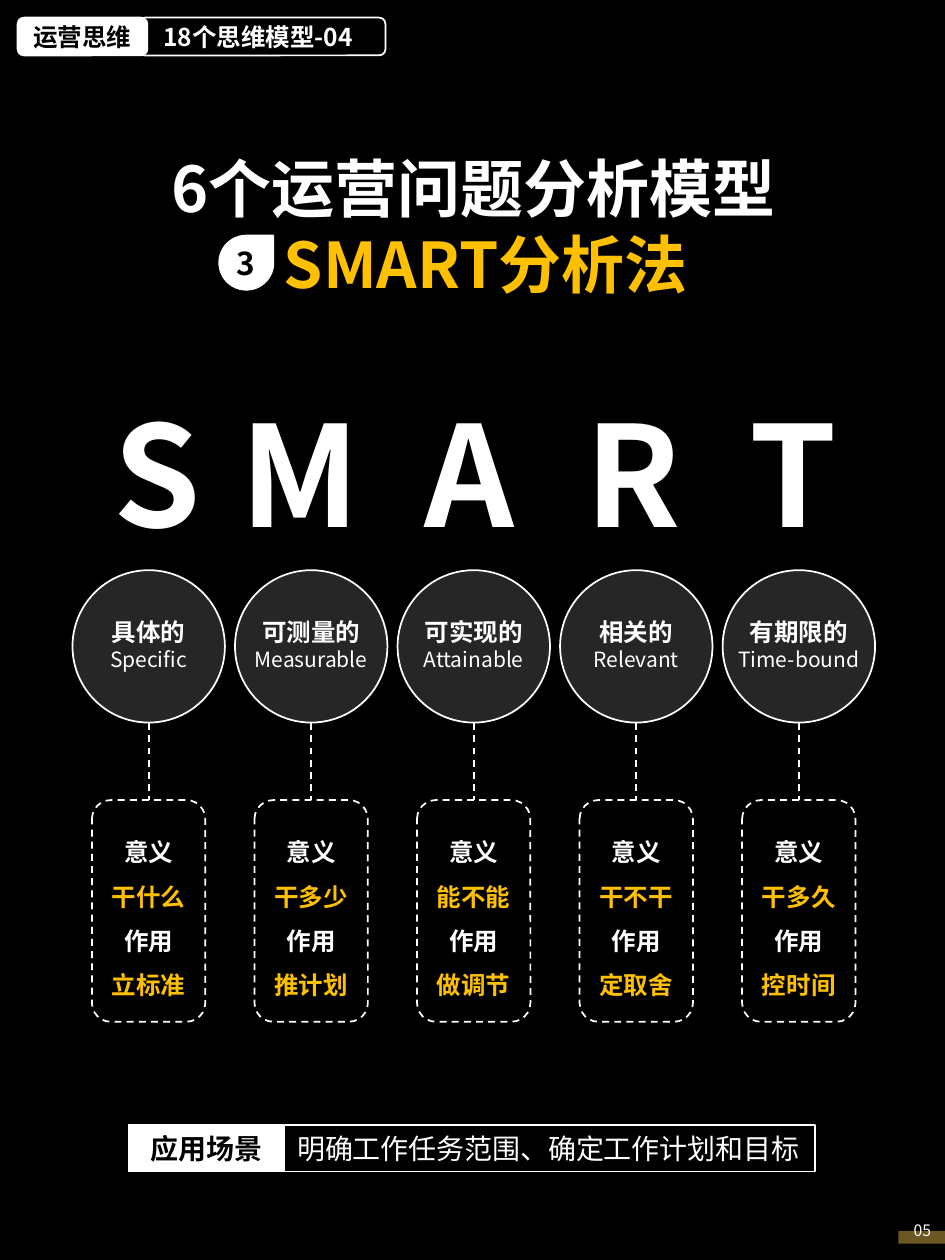
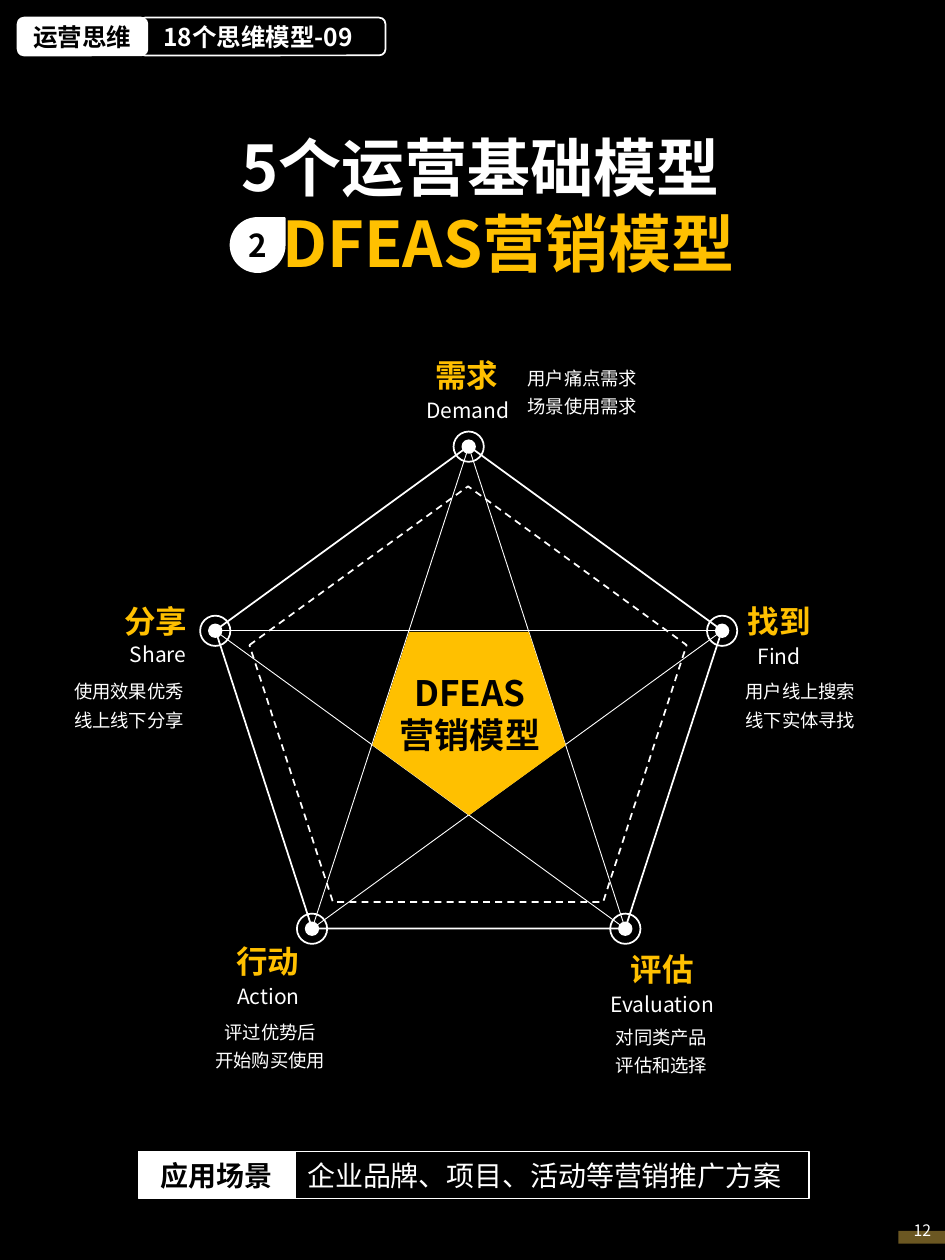
"""Build two slides on operations thinking models: SMART and DFEAS."""
import math

from lxml import etree
from pptx import Presentation
from pptx.dml.color import RGBColor
from pptx.enum import dml, shapes, text
from pptx.oxml import ns
from pptx.util import Inches, Pt

FONT = "Noto Sans CJK SC"
BLACK = RGBColor(0, 0, 0)
WHITE = RGBColor(255, 255, 255)
GOLD = RGBColor(0xFF, 0xC0, 0x00)
BROWN = RGBColor(0x6B, 0x57, 0x22)
SHAPE = shapes.MSO_SHAPE
LEFT, CENTER = text.PP_ALIGN.LEFT, text.PP_ALIGN.CENTER
MIDDLE, TOP = text.MSO_ANCHOR.MIDDLE, text.MSO_ANCHOR.TOP

SMART_FRAME = dict(
    series="18个思维模型-04", page="05",
    title=("6个运营问题分析模型", "SMART分析法"), title_box=(0.96, 1.14, 5.59, 1.31), indent=0.2,
    number="3", number_at=(1.74, 1.87),
    scene="明确工作任务范围、确定工作计划和目标", scene_at=(1.02, 8.93), scene_width=4.21)
SMART_COLUMNS = [
    ("S", 0.8, "具体的", "Specific", "干什么", "立标准"),
    ("M", 1.81, "可测量的", "Measurable", "干多少", "推计划"),
    ("A", 3.27, "可实现的", "Attainable", "能不能", "做调节"),
    ("R", 4.55, "相关的", "Relevant", "干不干", "定取舍"),
    ("T", 5.85, "有期限的", "Time-bound", "干多久", "控时间"),
]
FIRST_COLUMN, COLUMN_STEP = 1.18, 1.29

DFEAS_FRAME = dict(
    series="18个思维模型-09", page="12",
    title=("5个运营基础模型", "DFEAS营销模型"), title_box=(0.71, 0.97, 6.21, 1.31), indent=0.44,
    number="2", number_at=(1.83, 1.73),
    scene="企业品牌、项目、活动等营销推广方案", scene_at=(1.1, 9.14), scene_width=4.08)
DFEAS_STEPS = [
    ("需求", (3.35, 2.78), "Demand", (3.27, 3.11, 0.89, 0.3),
     ["用户痛点需求", "场景使用需求"], (4.09, 2.81, 1.09, 0.56), LEFT),
    ("找到", (5.83, 4.73), "Find", (5.91, 5.06, 0.55, 0.3),
     ["用户线上搜索", "线下实体寻找"], (5.82, 5.3, 1.09, 0.56), LEFT),
    ("评估", (4.9, 7.49), "Evaluation", (4.74, 7.82, 1.03, 0.3),
     ["对同类产品", "评估和选择"], (4.79, 8.04, 0.94, 0.56), LEFT),
    ("行动", (1.77, 7.43), "Action", (1.77, 7.76, 0.72, 0.3),
     ["评过优势后", "开始购买使用"], (1.6, 8, 1.09, 0.54), CENTER),
    ("分享", (0.88, 4.73), "Share", (0.93, 5.04, 0.65, 0.3),
     ["使用效果优秀", "线上线下分享"], (0.49, 5.3, 1.09, 0.56), LEFT),
]
STAR_X, STAR_Y, STAR_RADIUS = 3.72, 5.66, 2.115


def write_text(shape, lines, size=14, color=WHITE, bold=False, align=CENTER, anchor=MIDDLE,
               wrap=True, spacing=None, insets=(0.1, 0.05, 0.1, 0.05)):
    """Fill a shape; a line is a string or a (string, overrides) pair."""
    frame = shape.text_frame
    frame.word_wrap, frame.vertical_anchor = wrap, anchor
    frame.margin_left, frame.margin_top, frame.margin_right, frame.margin_bottom = map(Inches, insets)
    for index, line in enumerate(lines):
        words, own = (line, {}) if isinstance(line, str) else line
        paragraph = frame.add_paragraph() if index else frame.paragraphs[0]
        paragraph.alignment = align
        if spacing:
            paragraph.line_spacing = spacing
        if "indent" in own:
            paragraph._p.get_or_add_pPr().set("marL", str(Inches(own["indent"])))
        run = paragraph.add_run()
        run.text = words
        run.font.size = Pt(own.get("size", size))
        run.font.bold = own.get("bold", bold)
        run.font.color.rgb = own.get("color", color)
        run.font.name = FONT
        etree.SubElement(run._r.get_or_add_rPr(), ns.qn("a:ea")).set("typeface", FONT)


def add_text(slide, box, lines, **format):
    """Add a text box."""
    format = dict(anchor=TOP) | format
    write_text(slide.shapes.add_textbox(*map(Inches, box)), lines, **format)


def style_line(line, width, dashed):
    """Draw a white line."""
    line.color.rgb, line.width = WHITE, Pt(width)
    if dashed:
        line.dash_style = dml.MSO_LINE.DASH


def add_shape(slide, kind, box, fill=None, width=1, dashed=False, alpha=None):
    """Add a preset shape with a white outline, or none at zero width."""
    shape = slide.shapes.add_shape(kind, *map(Inches, box))
    shape.shadow.inherit = False
    if fill is None:
        shape.fill.background()
    else:
        shape.fill.solid()
        shape.fill.fore_color.rgb = fill
    if alpha:
        tint = shape._element.spPr.find(ns.qn("a:solidFill"))[0]
        etree.SubElement(tint, ns.qn("a:alpha")).set("val", str(alpha * 1000))
    if width:
        style_line(shape.line, width, dashed)
    else:
        shape.line.fill.background()
    return shape


def add_line(slide, start, end, width, dashed=False):
    """Add a straight white connector."""
    line = slide.shapes.add_connector(shapes.MSO_CONNECTOR.STRAIGHT, *map(Inches, (*start, *end)))
    etree.SubElement(line._element.spPr, ns.qn("a:effectLst"))
    style_line(line.line, width, dashed)
    return line


def add_dot(slide, center, diameter, **style):
    """Add a circle around a centre."""
    x, y = center
    return add_shape(slide, SHAPE.OVAL, (x - diameter / 2, y - diameter / 2, diameter, diameter), **style)


def add_frame(presentation, series, page, title, title_box, indent, number, number_at,
              scene, scene_at, scene_width):
    """Add a slide with its header, title, scene bar and page number."""
    slide = presentation.slides.add_slide(presentation.slide_layouts[6])
    slide.background.fill.solid()
    slide.background.fill.fore_color.rgb = BLACK

    heading, model = title
    add_text(slide, title_box, [heading, (model, dict(color=GOLD, indent=indent))], size=36, bold=True)
    badge = add_shape(slide, SHAPE.TEAR, (*number_at, 0.43, 0.43), fill=WHITE)
    write_text(badge, [number], size=18, color=BLACK, bold=True, insets=(0, 0, 0, 0))

    left, top = scene_at
    scene_box = add_shape(slide, SHAPE.RECTANGLE, (left + 1.24, top, scene_width, 0.37), width=0.75)
    write_text(scene_box, [scene], size=16, align=LEFT, insets=(0.1, 0, 0, 0))
    scene_label = add_shape(slide, SHAPE.ROUNDED_RECTANGLE, (left, top, 1.24, 0.37), fill=WHITE, width=0.75)
    scene_label.adjustments[0] = 0
    write_text(scene_label, ["应用场景"], size=16, color=BLACK, bold=True)

    add_shape(slide, SHAPE.RECTANGLE, (7.13, 9.77, 0.37, 0.1), fill=BROWN, width=0)
    add_text(slide, (7.14, 9.64, 0.36, 0.25), [page], size=9, wrap=False)

    series_tab = add_shape(slide, SHAPE.ROUNDED_RECTANGLE, (1.1, 0.14, 1.96, 0.3))
    write_text(series_tab, [series], bold=True, align=LEFT, insets=(0.18, 0, 0, 0))
    topic_tab = add_shape(slide, SHAPE.ROUNDED_RECTANGLE, (0.14, 0.14, 1.03, 0.3), fill=WHITE)
    write_text(topic_tab, ["运营思维"], color=BLACK, bold=True, insets=(0, 0, 0, 0))
    return slide


def build_smart(presentation):
    """Add the five SMART columns."""
    slide = add_frame(presentation, **SMART_FRAME)
    for index, (letter, letter_left, name, english, meaning, effect) in enumerate(SMART_COLUMNS):
        x = FIRST_COLUMN + index * COLUMN_STEP
        add_dot(slide, (x, 5.13), 1.21, fill=WHITE, alpha=15)
        letter_width = 1.33 if letter == "M" else 1
        add_text(slide, (letter_left, 3.03, letter_width, 1.45), [letter], size=80, bold=True, align=LEFT)
        add_text(slide, (x - 0.6, 4.85, 1.2, 0.54),
                 [(name, dict(bold=True)), (english, dict(size=12))], wrap=False)
        card = add_shape(slide, SHAPE.ROUNDED_RECTANGLE, (x - 0.45, 6.35, 0.9, 1.76), dashed=True)
        write_text(card, ["意义", (meaning, dict(color=GOLD)), "作用", (effect, dict(color=GOLD))],
                   bold=True, spacing=1.5)
        add_line(slide, (x, 5.74), (x, 6.35), 1, dashed=True).end_connect(card, 0)


def build_dfeas(presentation):
    """Add the DFEAS star and its five labelled steps."""
    slide = add_frame(presentation, **DFEAS_FRAME)
    add_shape(slide, SHAPE.REGULAR_PENTAGON, (1.98, 3.86, 3.47, 3.3), dashed=True)
    add_shape(slide, SHAPE.REGULAR_PENTAGON, (1.71, 3.54, 4.02, 3.83))

    angles = [math.radians(72 * index) for index in range(5)]
    nodes = [(STAR_X + STAR_RADIUS * math.sin(angle), STAR_Y - STAR_RADIUS * math.cos(angle))
             for angle in angles]
    for index, node in enumerate(nodes):
        add_line(slide, node, nodes[(index + 2) % 5], 0.5)
        add_dot(slide, node, 0.24)
        add_dot(slide, node, 0.1, fill=WHITE)

    core = add_shape(slide, SHAPE.REGULAR_PENTAGON, (3.03, 4.96, 1.53, 1.46), fill=GOLD, width=0)
    core.rotation = 108
    add_text(slide, (3.07, 5.28, 1.32, 0.77), ["DFEAS", "营销模型"],
             size=20, color=BLACK, bold=True, wrap=False)

    for name, name_at, english, english_box, details, details_box, align in DFEAS_STEPS:
        add_text(slide, (*name_at, 0.71, 0.4), [name], size=18, color=GOLD, bold=True, wrap=False)
        add_text(slide, english_box, [english], size=12, wrap=False)
        add_text(slide, details_box, details, size=10.5, align=align, spacing=1.3)


def main():
    """Build and save the presentation."""
    presentation = Presentation()
    presentation.slide_width, presentation.slide_height = Inches(7.5), Inches(10)
    build_smart(presentation)
    build_dfeas(presentation)
    presentation.save("out.pptx")


if __name__ == "__main__":
    main()
